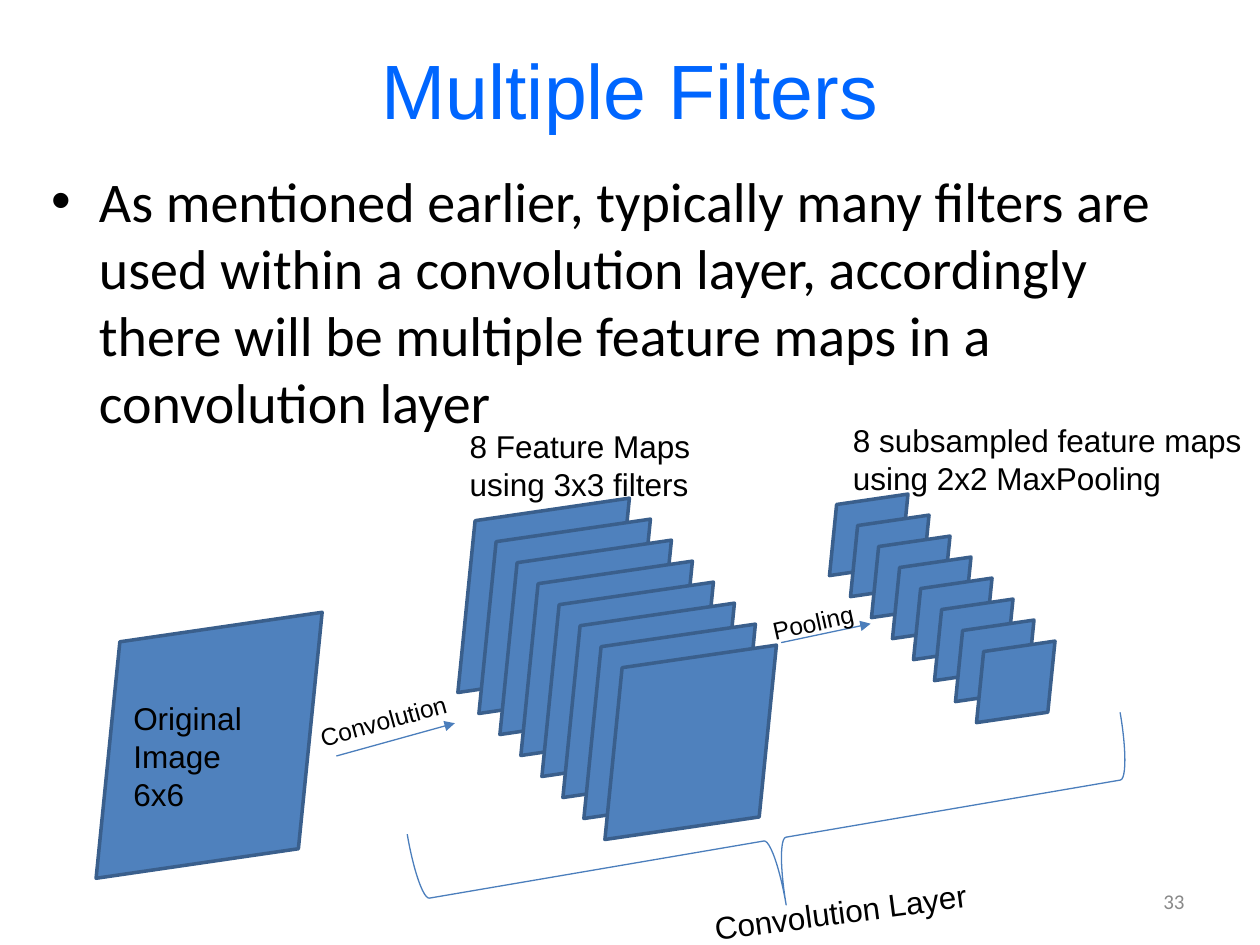
from pptx import Presentation
from pptx.dml.color import RGBColor
from pptx.enum.shapes import MSO_CONNECTOR, MSO_SHAPE
from pptx.enum.text import MSO_ANCHOR, PP_ALIGN
from pptx.oxml.ns import qn
from pptx.util import Inches, Pt
from lxml.etree import SubElement

COLORS = {
    "title": "0066FF",
    "text": "000000",
    "number": "898989",
    "fill": "4F81BD",
    "edge": "3A5F8C",
    "line": "4B7EBC",
}
TILT = 351.7
COUNT = 8
STEP = 1 / 6


class Deck:
    def __init__(self):
        self.prs = Presentation()
        self.prs.slide_width = Inches(10)
        self.prs.slide_height = Inches(7.5)
        self.slide = self.prs.slides.add_slide(self.prs.slide_layouts[1])
        self.shapes = self.slide.shapes

    def color(self, name):
        return RGBColor.from_string(COLORS[name])

    def place(self, shape, box):
        shape.left, shape.top, shape.width, shape.height = map(Inches, box)

    def style(self, frame, size, font="Arial", color="text", align=None):
        for para in frame.paragraphs:
            if align is not None:
                para.alignment = align
            for run in para.runs:
                run.font.name = font
                run.font.size = Pt(size)
                run.font.color.rgb = self.color(color)

    def title(self, text, box):
        shape = self.shapes.title
        self.place(shape, box)
        shape.text_frame.text = text
        self.style(shape.text_frame, 44, color="title", align=PP_ALIGN.CENTER)

    def body(self, text, box):
        shape = self.slide.placeholders[1]
        self.place(shape, box)
        shape.text_frame.text = text
        shape.text_frame.paragraphs[0].space_before = Pt(0)
        self.style(shape.text_frame, 32, "Calibri")

    def label(self, text, box, size=18, turn=0, wrap=False):
        shape = self.shapes.add_textbox(*map(Inches, box))
        shape.rotation = turn
        frame = shape.text_frame
        frame.word_wrap = wrap
        frame.text = text
        self.style(frame, size)
        return frame

    def number(self, text, box):
        frame = self.label(text, box, wrap=True)
        frame.vertical_anchor = MSO_ANCHOR.MIDDLE
        self.style(frame, 12, "Calibri", "number", PP_ALIGN.RIGHT)

    def sheet(self, box):
        shape = self.shapes.add_shape(MSO_SHAPE.PARALLELOGRAM, *map(Inches, box))
        shape.rotation = TILT
        shape.shadow.inherit = False
        shape.fill.solid()
        shape.fill.fore_color.rgb = self.color("fill")
        shape.line.color.rgb = self.color("edge")
        shape.line.width = Pt(2)

    def stack(self, left, top, width, height):
        """Draw one sheet per filter, each a step down and to the right."""
        for i in range(COUNT):
            self.sheet((left + i * STEP, top + i * STEP, width, height))

    def brace(self, box, turn):
        shape = self.shapes.add_shape(MSO_SHAPE.RIGHT_BRACE, *map(Inches, box))
        shape.rotation = turn
        shape.shadow.inherit = False
        shape.fill.background()
        shape.line.color.rgb = self.color("line")
        shape.line.width = Pt(0.75)

    def arrow(self, start, end):
        line = self.shapes.add_connector(
            MSO_CONNECTOR.STRAIGHT, *map(Inches, start + end))
        line.line.color.rgb = self.color("line")
        line.line.width = Pt(0.75)
        SubElement(line.line._get_or_add_ln(), qn("a:tailEnd"), type="triangle")
        SubElement(line._element.spPr, qn("a:effectLst"))


def main():
    deck = Deck()
    deck.title("Multiple Filters", (0.5, 0.08, 9, 1.25))
    deck.body(
        "As mentioned earlier, typically many filters are used within a "
        "convolution layer, accordingly there will be multiple feature maps "
        "in a convolution layer", (0.31, 1.27, 9, 5.67))
    deck.number("33", (7.17, 6.95, 2.33, 0.4))

    deck.sheet((0.62, 5, 2.08, 1.83))
    deck.stack(3.53, 4.06, 1.57, 1.33)
    deck.stack(6.54, 3.97, 0.71, 0.55)

    deck.label("Original\nImage\n6x6", (0.96, 5.5, 1.14, 1.01))
    deck.label("8 Feature Maps\nusing 3x3 filters", (3.63, 3.34, 1.97, 1.01))
    deck.label("8 subsampled feature maps\nusing 2x2 MaxPooling",
               (6.67, 3.29, 3.32, 1.01))

    deck.brace((5.62, 3.79, 1.06, 5.74), 80.3)
    deck.label("Convolution Layer", (5.56, 6.95, 3.5, 0.4), turn=352.4, wrap=True)

    deck.arrow((2.67, 6), (3.61, 5.74))
    deck.arrow((6.2, 5.1), (6.91, 4.95))
    deck.label("Convolution", (2.43, 5.55, 1.24, 0.34), 14, 344.6)
    deck.label("Pooling", (6.03, 4.77, 0.86, 0.34), 14, 347.5)

    deck.prs.save("out.pptx")


if __name__ == "__main__":
    main()
